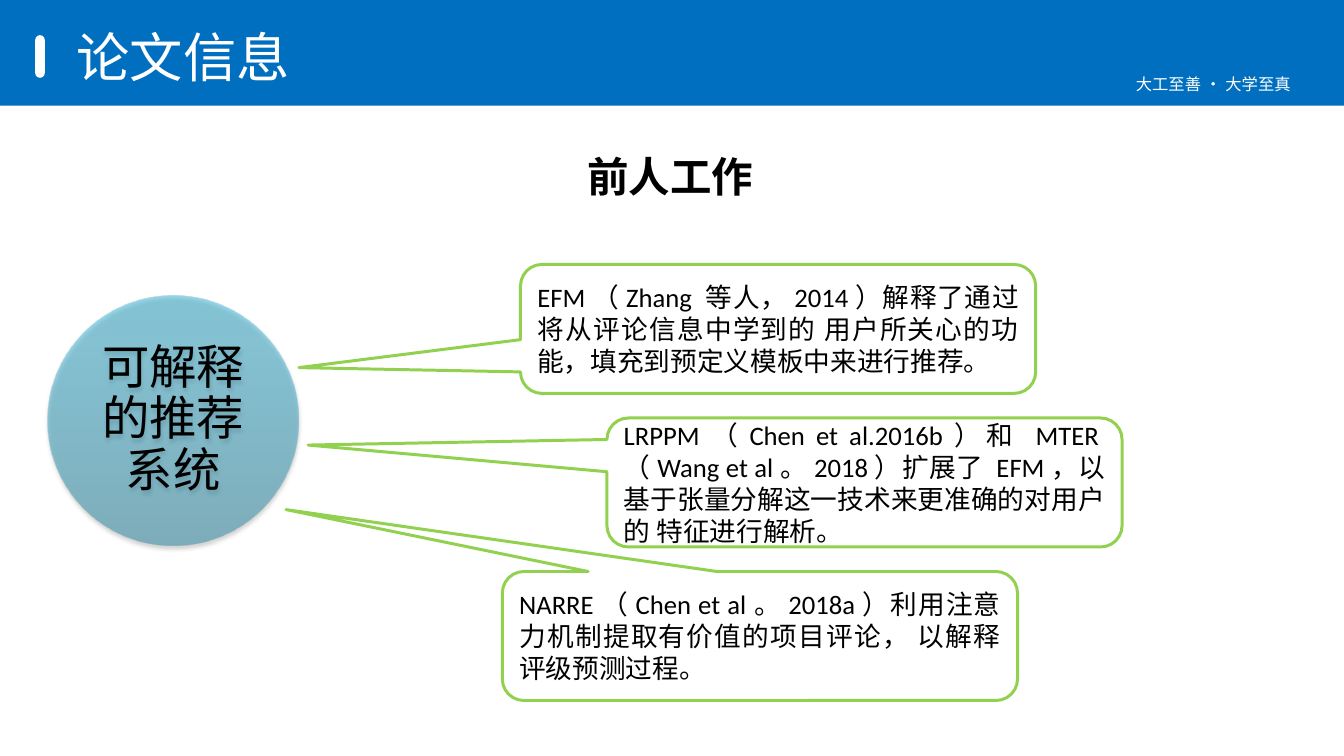
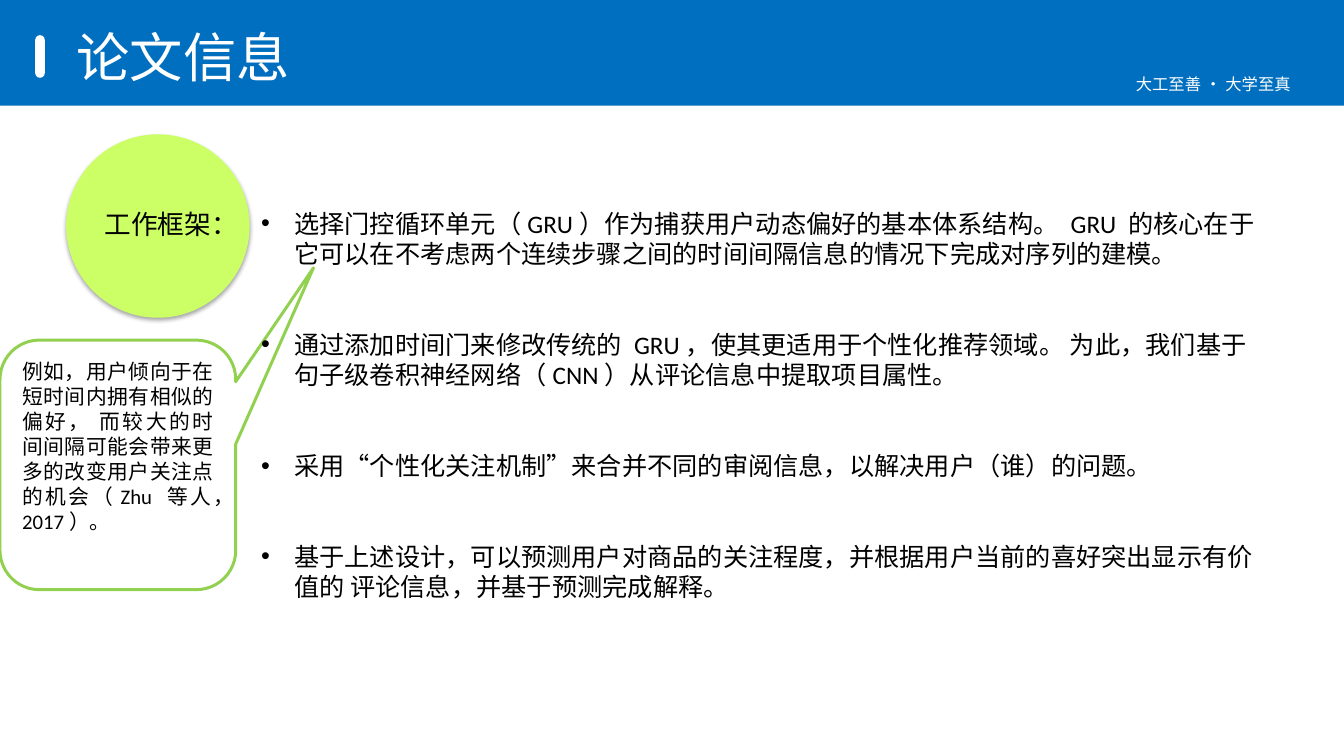
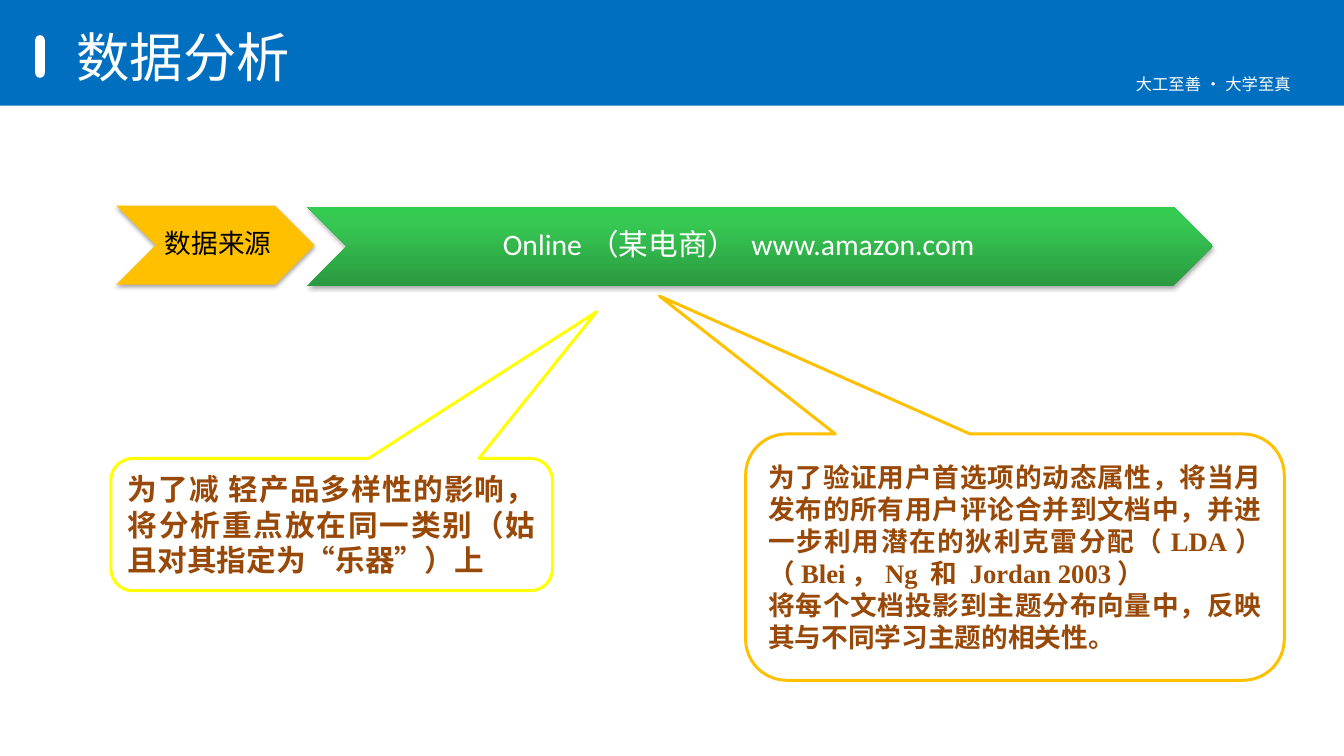
import pptx
import pptx.util
import pptx.dml.color
import pptx.enum.shapes
import pptx.enum.text
import pptx.oxml.ns
import lxml.etree

SHAPE = pptx.enum.shapes.MSO_SHAPE
ALIGN = pptx.enum.text.PP_ALIGN
ANCHOR = pptx.enum.text.MSO_ANCHOR
Pt = pptx.util.Pt
Inches = pptx.util.Inches
qn = pptx.oxml.ns.qn

COLOURS = {
    "band": "006FBF", "white": "FFFFFF", "black": "000000", "brown": "984807",
    "green": "92D050", "lime": "CCFF66", "yellow": "FFFF00", "amber": "FFC000",
}
# Gradients run from bottom to top: (position %, colour), then opacity %
LAKE = ([(0, "2A88A2"), (80, "37B1D2"), (100, "34B4D6")], 50)
LEAF = ([(0, "2A9A40"), (80, "37C853"), (100, "34CC51")], 100)
CJK, SANS, SERIF = "Noto Sans CJK SC", "Calibri", "Times New Roman"
COLUMNS, ROWS = 126, 70.9
MOTTO = "大工至善·大学至真"


def child(parent, tag, **attributes):
    return lxml.etree.SubElement(
        parent, qn(tag), {key: str(value) for key, value in attributes.items()})


def rgb(name):
    return pptx.dml.color.RGBColor.from_string(COLOURS[name])


class Deck:
    """Shared style and the slide being filled; places are (column, row, columns, rows)."""

    def __init__(self):
        self.file = pptx.Presentation()
        self.file.slide_width = Inches(12.6)
        self.file.slide_height = Inches(7.09)
        self.page = None

    def grid(self, place):
        column = self.file.slide_width / COLUMNS
        row = self.file.slide_height / ROWS
        return [round(n * unit) for n, unit in zip(place, (column, row) * 2)]

    def new_slide(self, title):
        self.page = self.file.slides.add_slide(self.file.slide_layouts[6])
        self.shape(SHAPE.RECTANGLE, (0, 0, COLUMNS, 9.9), "band")
        self.text((105.5, 6.5, 20.2, 2.9), [MOTTO], 11, colour="white", align=ALIGN.JUSTIFY)
        bar = self.shape(SHAPE.ROUNDED_RECTANGLE, (3.3, 3.3, 0.9, 4), "white")
        bar.adjustments[0] = 0.5
        self.text((6.2, 1.9, 93.8, 6.3), [title], 36, colour="white",
                  anchor=ANCHOR.MIDDLE, insets=(0.1, 0.05, 0.1, 0))

    def fill_text(self, holder, paragraphs, size, font=CJK, colour="black", bold=False,
                  align=ALIGN.LEFT, anchor=ANCHOR.TOP, insets=(0.1, 0.05, 0.1, 0.05),
                  spacing=None, gap=0, bullet=None):
        frame = holder.text_frame
        frame.word_wrap = True
        frame.vertical_anchor = anchor
        (frame.margin_left, frame.margin_top,
         frame.margin_right, frame.margin_bottom) = map(Inches, insets)
        for index, words in enumerate(paragraphs):
            paragraph = frame.add_paragraph() if index else frame.paragraphs[0]
            if bullet:
                properties = paragraph._p.get_or_add_pPr()
                properties.set("marL", str(Inches(0.31)))
                properties.set("indent", str(-Inches(0.31)))
                child(properties, "a:buFont", typeface="Arial")
                child(properties, "a:buChar", char=bullet)
            paragraph.alignment = align
            if spacing:
                paragraph.line_spacing = spacing
            if index and gap:
                paragraph.space_before = Pt(gap)
            run = paragraph.add_run()
            run.text = words
            run.font.size = Pt(size)
            run.font.bold = bold
            run.font.name = font
            run.font.color.rgb = rgb(colour)
            # East Asian letters take the same face on every slide
            character = run._r.get_or_add_rPr()
            character.set("lang", "zh-CN")
            latin = character.find(qn("a:latin"))
            latin.addnext(latin.makeelement(qn("a:ea"), {"typeface": CJK}))

    def text(self, place, paragraphs, size, **style):
        self.fill_text(self.page.shapes.add_textbox(*self.grid(place)),
                       paragraphs, size, **style)

    def shape(self, kind, place, fill, outline=None):
        item = self.page.shapes.add_shape(kind, *self.grid(place))
        item.shadow.inherit = False
        if isinstance(fill, str):
            item.fill.solid()
            item.fill.fore_color.rgb = rgb(fill)
        else:
            self.blend(item, *fill)
        if outline:
            item.line.color.rgb = rgb(outline)
            item.line.width = Pt(2)
        else:
            item.line.fill.background()
        return item

    def blend(self, item, stops, opacity):
        item.fill.gradient()
        item.fill.gradient_angle = 90
        stop_list = item._element.spPr.find(".//" + qn("a:gsLst"))
        for old in list(stop_list):
            stop_list.remove(old)
        for position, hue in stops:
            stop = child(stop_list, "a:gs", pos=position * 1000)
            child(child(stop, "a:srgbClr", val=hue), "a:alpha", val=opacity * 1000)

    def raised(self, kind, place, fill, words, size, **style):
        """A borderless labelled shape with a soft shadow below it."""
        item = self.shape(kind, place, fill)
        effects = item._element.spPr.find(qn("a:effectLst"))
        shadow = child(effects, "a:outerShdw", blurRad=Pt(3.1), dist=Pt(1.8),
                       dir=5400000, rotWithShape=0)
        child(child(shadow, "a:srgbClr", val=COLOURS["black"]), "a:alpha", val=35000)
        self.fill_text(item, [words], size, align=ALIGN.CENTER, anchor=ANCHOR.MIDDLE,
                       spacing=0.9, **style)

    def callout(self, place, tip, outline, paragraphs, size, font=SANS, **style):
        item = self.shape(SHAPE.ROUNDED_RECTANGULAR_CALLOUT, place, "white", outline)
        item.adjustments[0], item.adjustments[1] = tip
        self.fill_text(item, paragraphs, size, font=font, align=ALIGN.JUSTIFY,
                       anchor=ANCHOR.MIDDLE, **style)


def earlier_work(deck):
    deck.new_slide("论文信息")
    deck.raised(SHAPE.OVAL, (4.5, 27.7, 23.5, 23.5), LAKE, "可解释的推荐系统", 32,
                insets=(0.13, 0.04, 0.13, 0.04))
    deck.text((54.1, 13.7, 20, 5.7), ["前人工作"], 28, bold=True)
    # Three models, evenly stepped down the slide: left edge, tip, words
    models = [
        (48.8, (-0.93, 0.3),
         "EFM（Zhang 等人，2014）解释了通过将从评论信息中学到的 用户所关心的功能，"
         "填充到预定义模板中来进行推荐。"),
        (56.9, (-1.08, -0.29),
         "LRPPM（Chen et al.2016b）和 MTER（Wang et al。2018）扩展了 EFM，"
         "以基于张量分解这一技术来更准确的对用户的 特征进行解析。"),
        (47.1, (-0.92, -0.98),
         "NARRE（Chen et al。2018a）利用注意力机制提取有价值的项目评论， "
         "以解释评级预测过程。"),
    ]
    for step, (left, tip, words) in enumerate(models):
        deck.callout((left, 24.8 + 14.4 * step, 48.3, 12.1), tip, "green", [words], 18)


def framework(deck):
    deck.new_slide("论文信息")
    deck.raised(SHAPE.OVAL, (6.2, 12.6, 17.2, 17.2), "lime", "工作框架：", 18,
                insets=(0.09, 0.03, 0.09, 0.03))
    deck.callout((0, 31.9, 22.1, 23.4), (0.83, -0.79), "green", [
        "例如，用户倾向于在短时间内拥有相似的偏好， 而较大的时间间隔可能会带来"
        "更多的改变用户关注点的机会（Zhu 等人，2017）。",
    ], 14, insets=(0.1, 0.05, 0.1, 0.4))
    deck.text((23.5, 19, 96.3, 38.2), [
        "选择门控循环单元（GRU）作为捕获用户动态偏好的基本体系结构。 GRU 的核心在于"
        "它可以在不考虑两个连续步骤之间的时间间隔信息的情况下完成对序列的建模。",
        "通过添加时间门来修改传统的 GRU，使其更适用于个性化推荐领域。 为此，我们基于"
        "句子级卷积神经网络（CNN）从评论信息中提取项目属性。",
        "采用“个性化关注机制”来合并不同的审阅信息，以解决用户（谁）的问题。",
        "基于上述设计，可以预测用户对商品的关注程度，并根据用户当前的喜好突出显示"
        "有价值的 评论信息，并基于预测完成解释。",
    ], 17, font=SANS, bullet="•", gap=41)


def data_analysis(deck):
    deck.new_slide("数据分析")
    # Why the data was narrowed and how it was merged
    deck.callout((10.4, 43, 41.4, 12.4), (0.6, -1.61), "yellow", [
        "为了减 轻产品多样性的影响，将分析重点放在同一类别（姑且对其指定为“乐器”）上",
    ], 20, font=SERIF, colour="brown", bold=True)
    deck.callout((69.9, 40.7, 50.5, 23.1), (-0.66, -1.06), "amber", [
        "为了验证用户首选项的动态属性，将当月发布的所有用户评论合并到文档中，并进一步"
        "利用潜在的狄利克雷分配（LDA）（Blei，Ng 和 Jordan 2003）",
        "将每个文档投影到主题分布向量中，反映其与不同学习主题的相关性。",
    ], 18, font=SERIF, colour="brown", bold=True)
    # Source of the data
    deck.raised(SHAPE.CHEVRON, (10.9, 19.3, 18.6, 7.4), "amber", "数据来源", 18,
                insets=(0.08, 0.03, 0.03, 0.03))
    deck.raised(SHAPE.CHEVRON, (28.8, 19.4, 84.9, 7.4), LEAF,
                "Online（某电商） www.amazon.com", 20, font=SANS, colour="white",
                insets=(0.6, 0.03, 1, 0.03))


def main():
    deck = Deck()
    earlier_work(deck)
    framework(deck)
    data_analysis(deck)
    deck.file.save("out.pptx")


if __name__ == "__main__":
    main()
